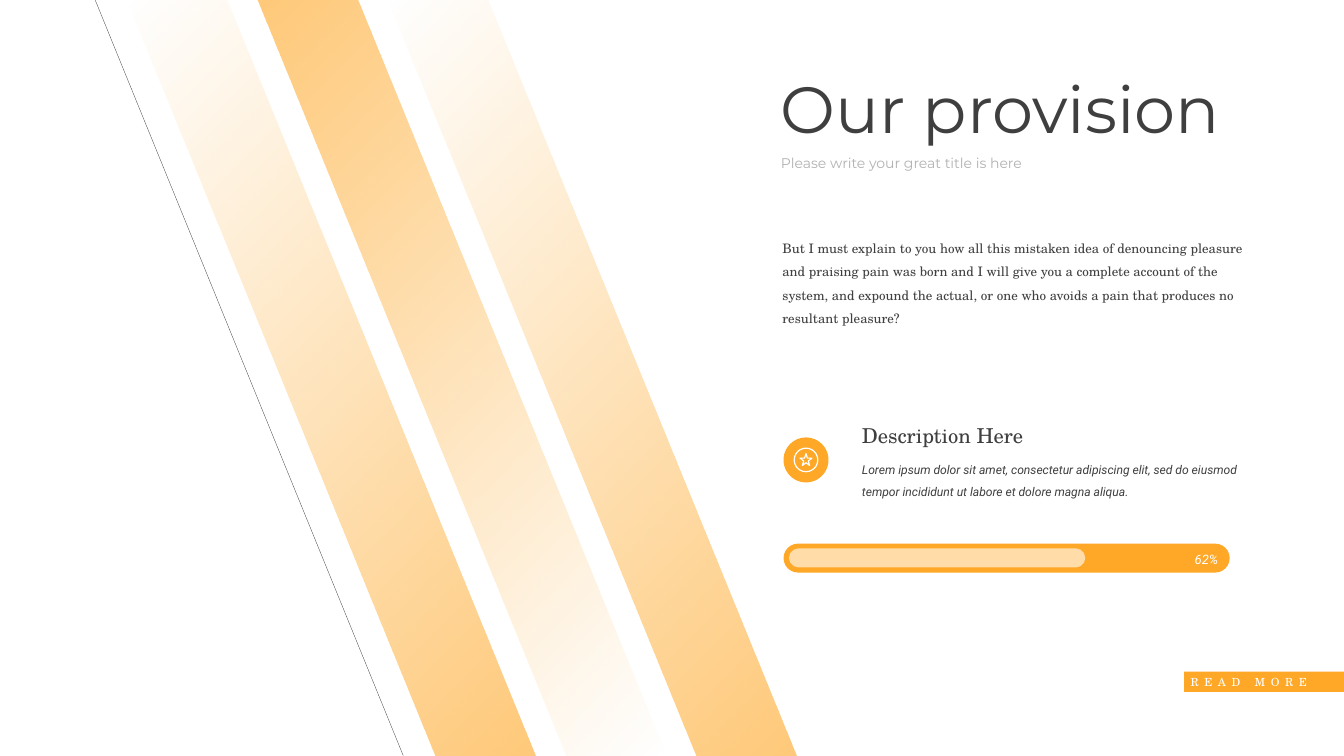
from lxml import etree
from pptx import Presentation
from pptx.dml.color import RGBColor
from pptx.enum import shapes, text
from pptx.oxml.ns import qn
from pptx.util import Pt

ORANGE, WHITE, DARK, GREY = "FFA827", "FFFFFF", "3F3F3F", "B2B2B2"
SERIF = "TeX Gyre Schola"


def rgb(value):
    return RGBColor.from_string(value)


def write(box, words, color, **formats):
    frame = box.text_frame
    frame.word_wrap = True
    para = frame.paragraphs[0]
    para.alignment = text.PP_ALIGN.LEFT
    para.line_spacing = formats.pop("line_spacing", 1.0)
    span = para.add_run()
    span.text = words
    span.font.color.rgb = rgb(color)
    for name, value in formats.items():
        setattr(span.font, name, value)
    return span


deck = Presentation()
deck.slide_width, deck.slide_height = Pt(1440), Pt(810)
page = deck.slides.add_slide(deck.slide_layouts[6])

edge = page.shapes.add_connector(
    shapes.MSO_CONNECTOR.STRAIGHT, Pt(102), Pt(0), Pt(432), Pt(809.5))
edge.line.color.rgb = rgb("1B1C1F")
edge.line.width = Pt(0.25)
etree.SubElement(edge.element.spPr, qn("a:effectLst"))

texts = [
    (829.5, 70, 543, 92, "Our provision", DARK,
     {"size": Pt(70), "name": "Montserrat"}),
    (829.5, 162.5, 333, 25, "Please write your great title is here", GREY,
     {"size": Pt(15), "name": "Montserrat"}),
    (831.3, 245.5, 515, 109,
     "But I must explain to you how all this mistaken idea of denouncing pleasure "
     "and praising pain was born and I will give you a complete account of the "
     "system, and expound the actual, or one who avoids a pain that produces no "
     "resultant pleasure?", DARK,
     {"size": Pt(14), "name": SERIF, "line_spacing": 1.5}),
    (916.5, 484, 418.5, 52,
     "Lorem ipsum dolor sit amet, consectetur adipiscing elit, sed do eiusmod "
     "tempor incididunt ut labore et dolore magna aliqua.", DARK,
     {"size": Pt(13), "name": "Roboto", "italic": True, "line_spacing": 1.5}),
    (916.5, 450, 219, 34, "Description Here", DARK,
     {"size": Pt(22), "name": SERIF}),
]

kinds = shapes.MSO_SHAPE
blocks = {}
for name, kind, left, top, width, height, fill in [
    ("badge", kinds.OVAL, 839.5, 468.7, 48.2, 48.2, ORANGE),
    ("ring", kinds.DONUT, 850.3, 479.5, 26.6, 26.6, WHITE),
    ("star", kinds.STAR_5_POINT, 857.2, 486, 12.8, 12.8, None),
    ("track", kinds.ROUNDED_RECTANGLE, 839.5, 582.5, 478, 31, ORANGE),
    ("progress", kinds.ROUNDED_RECTANGLE, 845.3, 587.5, 317.5, 20.5, WHITE),
    ("button", kinds.RECTANGLE, 1268.6, 719.5, 171.4, 21.8, ORANGE),
]:
    block = page.shapes.add_shape(kind, Pt(left), Pt(top), Pt(width), Pt(height))
    block.shadow.inherit = False
    if fill:
        block.fill.solid()
        block.fill.fore_color.rgb = rgb(fill)
        block.line.fill.background()
    else:
        block.fill.background()
        block.line.color.rgb = rgb(WHITE)
        block.line.width = Pt(1.25)
    if kind == kinds.ROUNDED_RECTANGLE:
        block.adjustments[0] = 0.5
    blocks[name] = block

blocks["ring"].adjustments[0] = 0.05
tint = next(blocks["progress"].element.spPr.iter(qn("a:srgbClr")))
etree.SubElement(tint, qn("a:alpha"), val="60000")

texts.append((1273, 586.8, 41, 24.5, "62%", WHITE,
              {"size": Pt(14), "name": "Roboto", "italic": True}))
for left, top, width, height, words, color, formats in texts:
    box = page.shapes.add_textbox(Pt(left), Pt(top), Pt(width), Pt(height))
    write(box, words, color, **formats)

label = write(blocks["button"], "READ MORE", WHITE, size=Pt(12), name=SERIF)
label.font._element.set("spc", "600")

for left, opacities in [(276, (62, 0)), (415.5, (0, 62)), (135.5, (0, 62))]:
    outline = page.shapes.build_freeform(Pt(left), Pt(0))
    outline.add_line_segments([
        (Pt(left + 107.8), Pt(0)),
        (Pt(left + 438.2), Pt(809.5)),
        (Pt(left + 330.5), Pt(809.5)),
    ])
    stripe = outline.convert_to_shape()
    stripe.shadow.inherit = False
    stripe.line.fill.background()
    stripe.fill.gradient()
    stripe.fill.gradient_angle = 315
    for stop, position in zip(stripe.fill.gradient_stops, (0, 1)):
        stop.position = position
        stop.color.rgb = rgb(ORANGE)
    for tint, opacity in zip(stripe.element.spPr.iter(qn("a:srgbClr")), opacities):
        etree.SubElement(tint, qn("a:alpha"), val=str(opacity * 1000))

deck.save("out.pptx")
